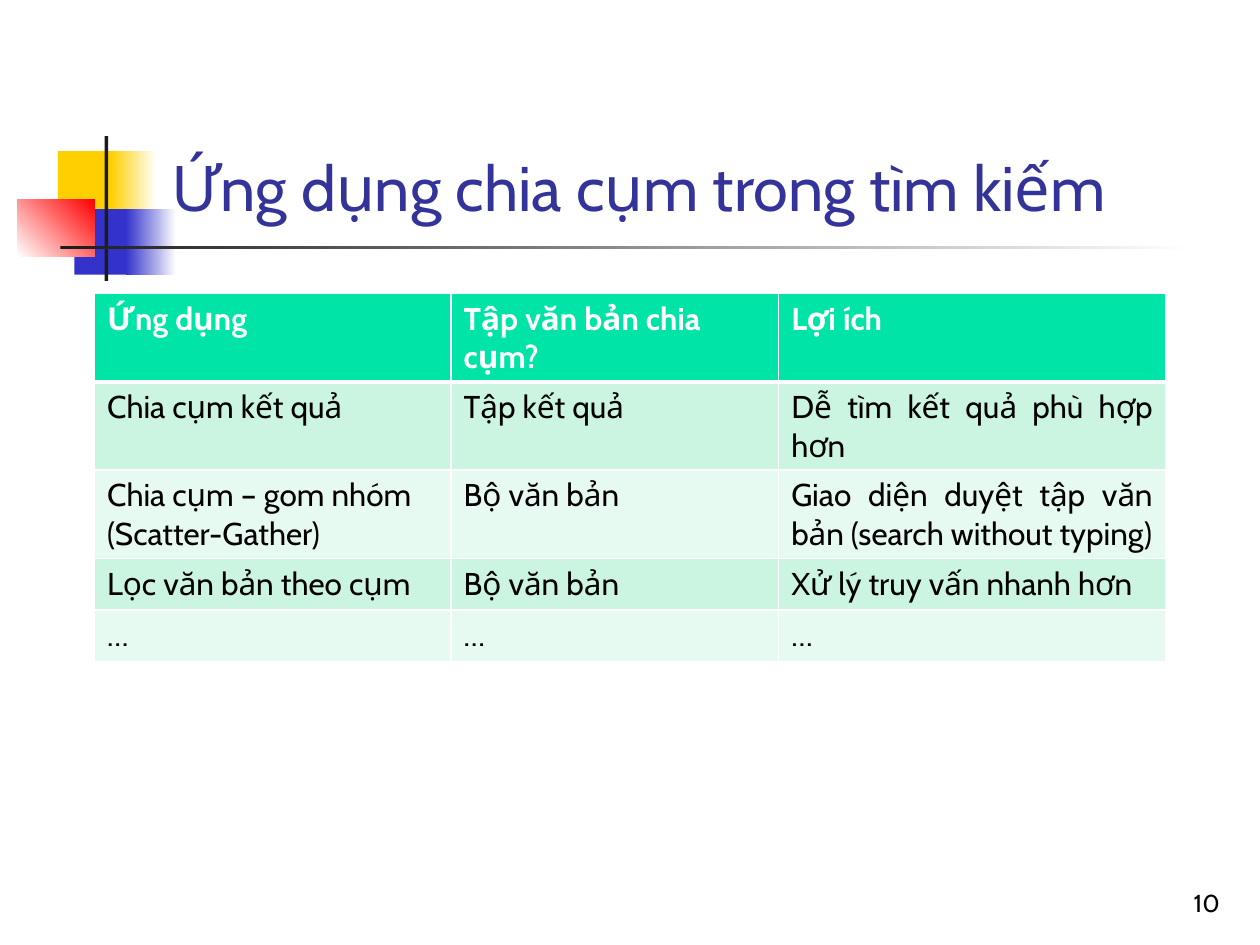
from lxml import etree
from pptx import Presentation
from pptx.dml.color import RGBColor as Rgb
from pptx.enum.shapes import MSO_SHAPE as Shape
from pptx.enum.text import MSO_ANCHOR as Anchor, MSO_AUTO_SIZE as Fit, PP_ALIGN as Align
from pptx.oxml.ns import qn
from pptx.util import Inches, Pt

COLORS = {
    "gold": "FFCF01", "blue": "3333CC", "red": "FF0000", "ink": "1C1C1C",
    "title": "333399", "black": "000000", "white": "FFFFFF",
    "head": "00E4A8", "odd": "CCF5E1", "even": "E7FAF1",
}

# left, top, width, height, colours (two make a gradient), angle
DECOR = [
    (0.46, 1.2, 0.48, 0.52, ["gold"], 0),
    (0.88, 1.2, 0.36, 0.52, ["gold", "white"], 0),
    (0.59, 1.66, 0.46, 0.52, ["blue"], 0),
    (1, 1.66, 0.4, 0.52, ["blue", "white"], 0),
    (0.14, 1.58, 0.61, 0.46, ["white", "red"], 45),
    (0.83, 1.08, 0.03, 1.15, ["ink"], 0),
    (0.48, 1.95, 9, 0.03, ["ink", "white"], 0),
]

ROWS = [
    ("Ứng dụng", "Tập văn bản chia cụm?", "Lợi ích"),
    ("Chia cụm kết quả", "Tập kết quả", "Dễ tìm kết quả phù hợp hơn"),
    ("Chia cụm – gom nhóm (Scatter-Gather)", "Bộ văn bản",
     "Giao diện duyệt tập văn bản (search without typing)"),
    ("Lọc văn bản theo cụm", "Bộ văn bản", "Xử lý truy vấn nhanh hơn"),
    ("…", "…", "…"),
]
JUSTIFIED = {(1, 2), (2, 2)}


def color(name):
    return Rgb.from_string(COLORS[name])


class Deck:
    font = "Cabin"

    def __init__(self, slide):
        self.slide = slide

    def text(self, frame, words, size, ink, align=Align.LEFT, bold=False):
        par = frame.paragraphs[0]
        par.alignment = align
        run = par.add_run()
        run.text = words
        run.font.name, run.font.size, run.font.bold = self.font, Pt(size), bold
        run.font.color.rgb = color(ink)

    def title(self, words, left, top, width, height):
        box = self.slide.shapes.title
        box.left, box.top = Inches(left), Inches(top)
        box.width, box.height = Inches(width), Inches(height)
        frame = box.text_frame
        frame.auto_size = Fit.NONE
        frame.vertical_anchor = Anchor.BOTTOM
        self.text(frame, words, 36, "title")

    def block(self, left, top, width, height, names, angle):
        box = self.slide.shapes.add_shape(
            Shape.RECTANGLE, Inches(left), Inches(top), Inches(width), Inches(height))
        box.shadow.inherit = False
        box.line.fill.background()
        if len(names) == 1:
            box.fill.solid()
            box.fill.fore_color.rgb = color(names[0])
            return
        box.fill.gradient()
        box.fill.gradient_angle = angle
        for place, (stop, name) in enumerate(zip(box.fill.gradient_stops, names)):
            stop.position = place
            stop.color.rgb = color(name)

    def number(self, words, left, top, width, height):
        box = self.slide.shapes.add_textbox(
            Inches(left), Inches(top), Inches(width), Inches(height))
        frame = box.text_frame
        frame.word_wrap = True
        frame.vertical_anchor = Anchor.BOTTOM
        self.text(frame, words, 14, "black", Align.RIGHT)

    def border(self, cell, widths):
        """Draw white cell edges; widths maps a side (L, R, T, B) to points."""
        props = cell._tc.get_or_add_tcPr()
        for side, width in widths.items():
            line = etree.SubElement(props, qn(f"a:ln{side}"), w=str(Pt(width)))
            fill = etree.SubElement(line, qn("a:solidFill"))
            etree.SubElement(fill, qn("a:srgbClr"), val=COLORS["white"])

    def table(self, rows, left, top, widths, height):
        table = self.slide.shapes.add_table(
            len(rows), len(widths), Inches(left), Inches(top),
            Inches(sum(widths)), Inches(height * len(rows))).table
        for col, width in zip(table.columns, widths):
            col.width = Inches(width)
        for r, row in enumerate(rows):
            head = r == 0
            shade = "head" if head else "odd" if r % 2 else "even"
            for c, words in enumerate(row):
                cell = table.cell(r, c)
                self.border(cell, {"L": 1, "R": 1, "T": 3 if r == 1 else 1,
                                   "B": 3 if head else 1})
                cell.fill.solid()
                cell.fill.fore_color.rgb = color(shade)
                align = Align.JUSTIFY if (r, c) in JUSTIFIED else Align.LEFT
                self.text(cell.text_frame, words, 18,
                          "white" if head else "black", align, head)
            table.rows[r].height = Inches(height)


def main():
    prs = Presentation()
    prs.slide_width, prs.slide_height = Inches(10), Inches(7.5)
    deck = Deck(prs.slides.add_slide(prs.slide_layouts[5]))
    for item in DECOR:
        deck.block(*item)
    deck.title("Ứng dụng chia cụm trong tìm kiếm", 1.26, 0.23, 8.52, 1.6)
    deck.number("10", 7.7, 6.83, 2.08, 0.5)
    deck.table(ROWS, 0.75, 2.33, [2.83, 2.6, 3.07], 0.41)
    prs.save("out.pptx")


if __name__ == "__main__":
    main()
